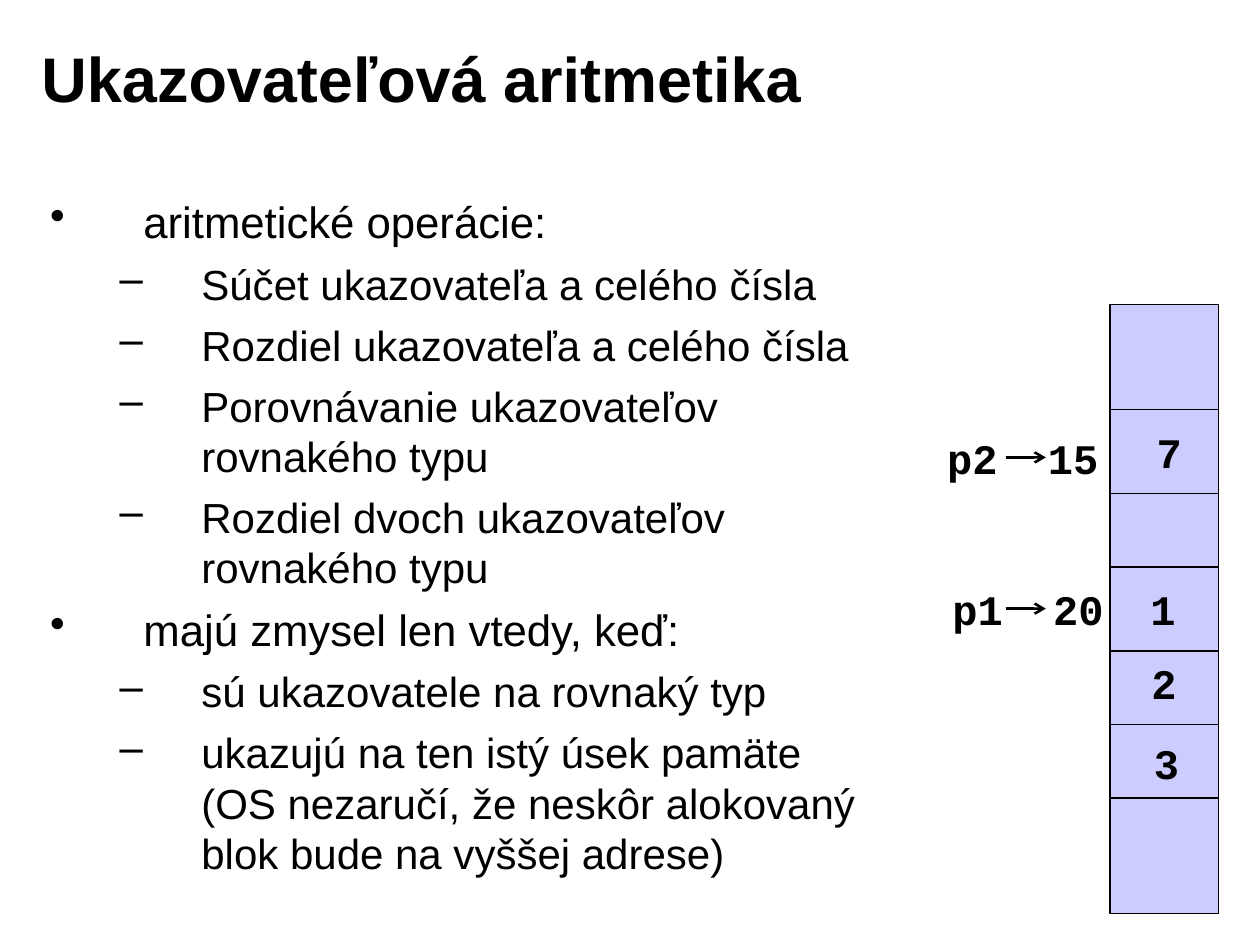
import itertools

import lxml.etree
import pptx
import pptx.dml.color
import pptx.enum.shapes
import pptx.enum.text
import pptx.oxml.ns
import pptx.util

Pt = pptx.util.Pt
BLACK = pptx.dml.color.RGBColor(0x00, 0x00, 0x00)
LAVENDER = pptx.dml.color.RGBColor(0xCC, 0xCC, 0xFF)

# (level, text)
POINTS = [
    (0, "aritmetické operácie:"),
    (1, "Súčet ukazovateľa a celého čísla"),
    (1, "Rozdiel ukazovateľa a celého čísla"),
    (1, "Porovnávanie ukazovateľov rovnakého typu"),
    (1, "Rozdiel dvoch ukazovateľov rovnakého typu"),
    (0, "majú zmysel len vtedy, keď:"),
    (1, "sú ukazovatele na rovnaký typ"),
    (1, "ukazujú na ten istý úsek pamäte (OS nezaručí, že neskôr alokovaný "
        "blok bude na vyššej adrese)"),
]
# level: (bullet, left margin, hanging indent, space before, size)
LEVELS = {0: ("•", 53.3, 53.3, 6.2, 25), 1: ("–", 86.4, 46.8, 6, 24)}

ROW_HEIGHTS = [60, 48, 42, 48, 42, 42, 66]
# (row, digit, offset from the row's left and top, width)
DIGITS = [(1, "7", 19.5, 6, 28), (3, "1", 16, 6, 34),
          (4, "2", 16.5, 0, 33), (5, "3", 18, 4, 20)]


def add_child(parent, tag, **attributes):
    child = lxml.etree.SubElement(parent, pptx.oxml.ns.qn(tag))
    for name, value in attributes.items():
        child.set(name, str(value))
    return child


def add_text_box(slide, left, top, width, height):
    box = slide.shapes.add_textbox(Pt(left), Pt(top), Pt(width), Pt(height))
    box.text_frame.word_wrap = True
    return box.text_frame


def add_run(paragraph, text, size, font_name, bold=False):
    run = paragraph.add_run()
    run.text = text
    run.font.size = Pt(size)
    run.font.name = font_name
    run.font.bold = bold
    run.font.color.rgb = BLACK


def add_code(slide, text, left, top, width):
    paragraph = add_text_box(slide, left, top, width, 36).paragraphs[0]
    if "\t" in text:
        tabs = add_child(paragraph._p.get_or_add_pPr(), "a:tabLst")
        add_child(tabs, "a:tab", pos=Pt(57.6), algn="l")
    add_run(paragraph, text, 24, "Courier New", bold=True)


def add_line(slide, left, right, y, weight, arrow=False):
    line = slide.shapes.add_connector(
        pptx.enum.shapes.MSO_CONNECTOR.STRAIGHT, Pt(left), Pt(y), Pt(right), Pt(y))
    line.line.color.rgb = BLACK
    line.line.width = Pt(weight)
    if arrow:
        add_child(line.line._get_or_add_ln(), "a:tailEnd", type="arrow")
    add_child(line._element.spPr, "a:effectLst")


def add_title(slide, left, top, width, height):
    frame = add_text_box(slide, left, top, width, height)
    frame.vertical_anchor = pptx.enum.text.MSO_ANCHOR.MIDDLE
    add_run(frame.paragraphs[0], "Ukazovateľová aritmetika", 36, "Arial", bold=True)


def add_points(slide, left, top, width, height):
    frame = add_text_box(slide, left, top, width, height)
    for index, (level, text) in enumerate(POINTS):
        bullet, margin, hanging, space, size = LEVELS[level]
        paragraph = frame.paragraphs[0] if index == 0 else frame.add_paragraph()
        paragraph.level = level
        properties = paragraph._p.get_or_add_pPr()
        properties.set("marL", str(Pt(margin)))
        properties.set("indent", str(-Pt(hanging)))
        color = add_child(properties, "a:buClr")
        add_child(color, "a:srgbClr", val=BLACK)
        add_child(properties, "a:buChar", char=bullet)
        if index:
            paragraph.space_before = Pt(space)
        add_run(paragraph, text, size, "Arial")


def add_memory(slide, left, top, width):
    row_tops = [top + offset for offset in itertools.accumulate(ROW_HEIGHTS, initial=0)]
    column = slide.shapes.add_shape(
        pptx.enum.shapes.MSO_SHAPE.RECTANGLE,
        Pt(left), Pt(top), Pt(width), Pt(sum(ROW_HEIGHTS)))
    column.shadow.inherit = False
    column.fill.solid()
    column.fill.fore_color.rgb = LAVENDER
    column.line.color.rgb = BLACK
    column.line.width = Pt(0.75)
    # Row borders
    for y in row_tops[1:-1]:
        add_line(slide, left, left + width, y, 0.75)
    # Stored values
    for row, digit, x_offset, y_offset, digit_width in DIGITS:
        add_code(slide, digit, left + x_offset, row_tops[row] + y_offset, digit_width)


def add_pointer(slide, name, address, left, top, width):
    add_code(slide, f"{name}\t{address}", left, top, width)
    add_line(slide, 574.6, 597.6, top + 18, 1.5, arrow=True)


def main():
    presentation = pptx.Presentation()
    presentation.slide_width = Pt(720)
    presentation.slide_height = Pt(540)
    slide = presentation.slides.add_slide(presentation.slide_layouts[6])
    add_memory(slide, 634.3, 174, 62)
    add_pointer(slide, "p2", "15", 534.2, 243.4, 105)
    add_pointer(slide, "p1", "20", 537.1, 329.8, 105)
    add_title(slide, 16.6, 10.8, 578, 67)
    add_points(slide, 21.6, 108, 476.6, 432)
    presentation.save("out.pptx")


if __name__ == "__main__":
    main()
